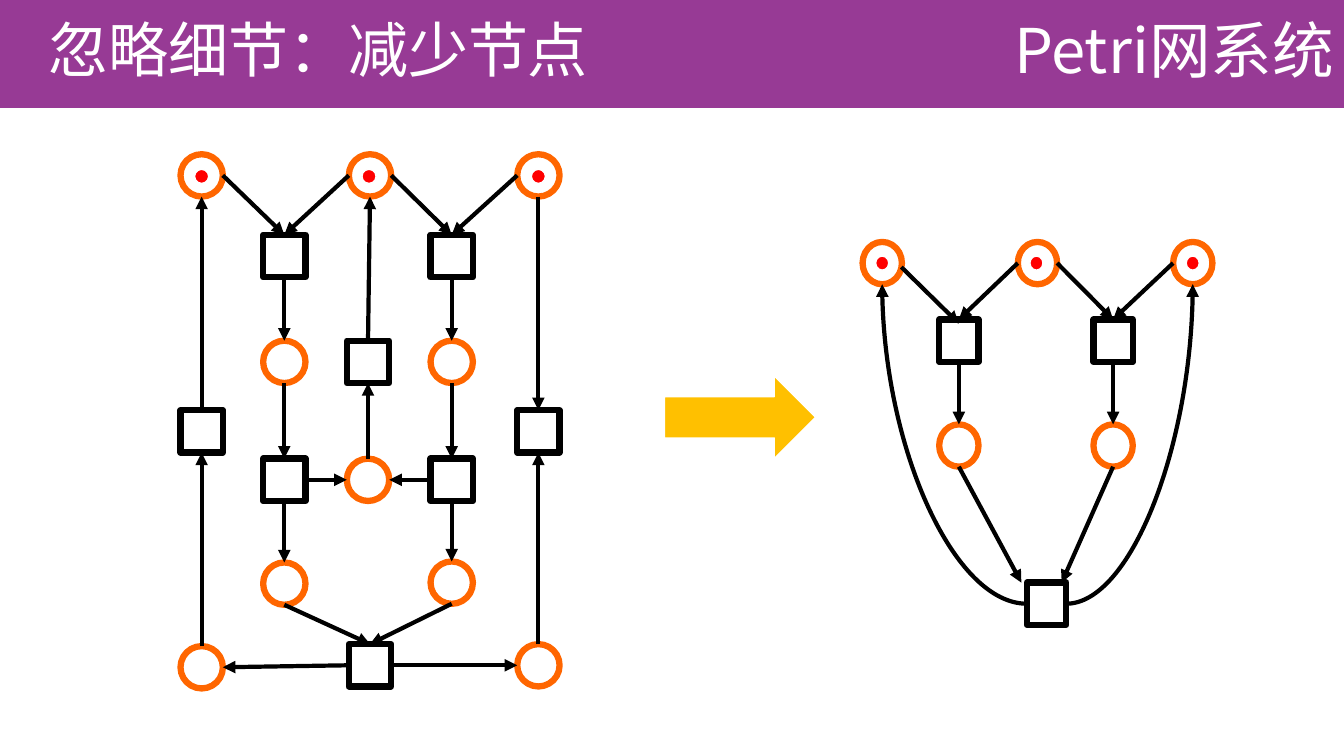
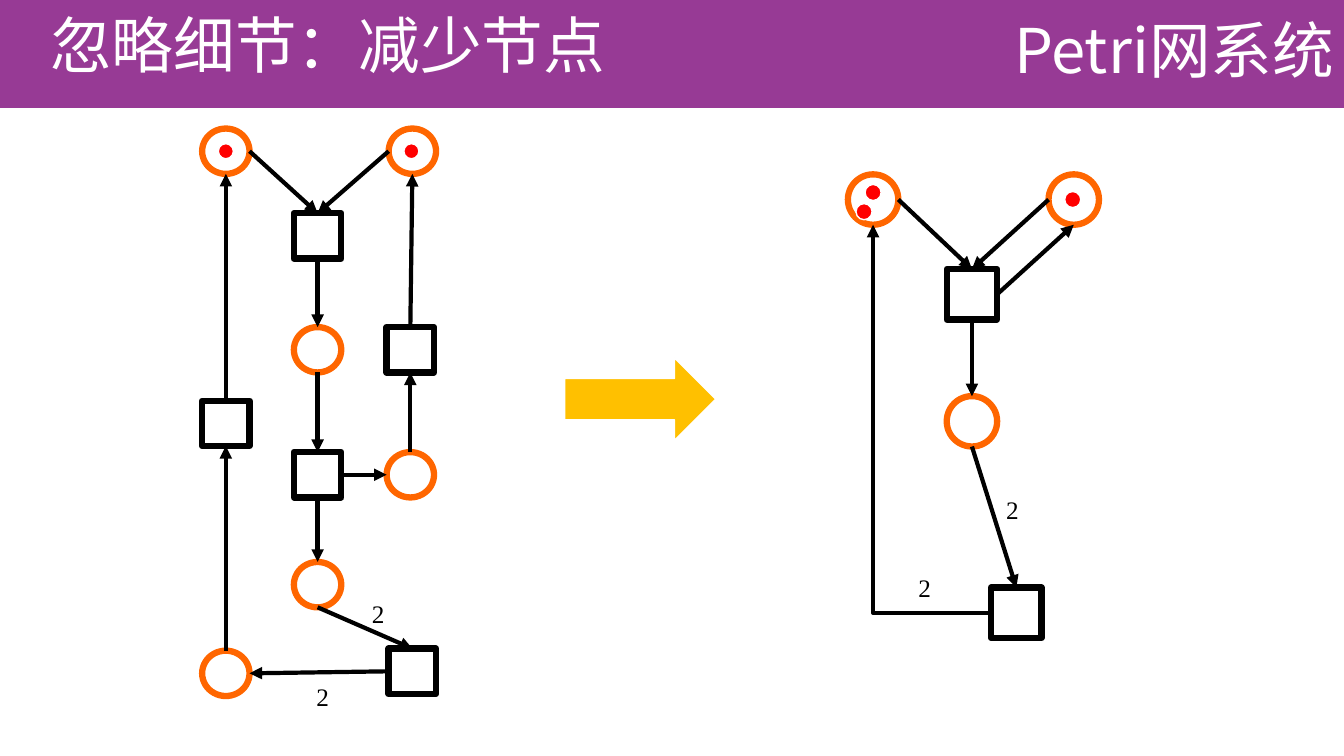
from dataclasses import dataclass

from lxml.etree import SubElement
from pptx import Presentation
from pptx.dml.color import RGBColor
from pptx.enum.shapes import MSO_CONNECTOR as Link, MSO_SHAPE as Shape
from pptx.enum.text import MSO_ANCHOR as Anchor, PP_ALIGN as Align
from pptx.oxml.ns import qn
from pptx.util import Inches, Pt


@dataclass(frozen=True)
class Theme:
    band: str = "973A95"
    paper: str = "FFFFFF"
    ink: str = "000000"
    ring: str = "FF6600"
    token: str = "FF0000"
    step: str = "FFC000"
    title_font: str = "Noto Sans CJK SC"
    weight_font: str = "Times New Roman"
    title_size: float = 44
    weight_size: float = 18
    node_line: float = 4.5
    arc_line: float = 3
    thin_line: float = 1


@dataclass(frozen=True)
class Node:
    x: float
    y: float
    width: float
    height: float

    def side(self, key):
        """Point in the middle of the left, right, top or bottom side."""
        dx, dy = {"l": (-1, 0), "r": (1, 0), "t": (0, -1), "b": (0, 1)}[key]
        return self.x + dx * self.width / 2, self.y + dy * self.height / 2


THEME = Theme()
TOPIC = "忽略细节：减少节点"
COURSE = "Petri网系统"
# Route: connector type and, for one-corner routes, its preset geometry
ROUTES = {
    "straight": (Link.STRAIGHT, None),
    "curve": (Link.CURVE, "curvedConnector2"),
    "elbow": (Link.ELBOW, "bentConnector2"),
}


def write(box, text, *, font, size, color, align=Align.LEFT, anchor=Anchor.TOP,
          spacing=None, indent=0.1):
    frame = box.text_frame
    frame.word_wrap = True
    frame.vertical_anchor = anchor
    frame.margin_left = Inches(indent)
    paragraph = frame.paragraphs[0]
    paragraph.alignment = align
    if spacing:
        paragraph.line_spacing = spacing
    run = paragraph.add_run()
    run.text = text
    run.font.name = font
    run.font.size = Pt(size)
    run.font.color.rgb = RGBColor.from_string(color)
    SubElement(run.font._element, qn("a:ea"), typeface=font)


class PetriDeck:
    def __init__(self, theme):
        self.theme = theme
        self.deck = Presentation()
        self.deck.slide_width = Inches(13.33)
        self.deck.slide_height = Inches(7.5)
        self.shapes = None

    # Slide with the shared band and headings
    def new_slide(self, topic_size, topic_left, topic_top):
        blank = self.deck.slide_layouts[6]
        self.shapes = self.deck.slides.add_slide(blank).shapes
        self.shape(Shape.RECTANGLE, 0, -0.01, 13.33, 1.08, self.theme.band)
        self.heading(TOPIC, topic_left, topic_top, 8.2, size=topic_size, indent=0)
        self.heading(COURSE, 9.31, 0, 4.02, align=Align.RIGHT)

    def heading(self, text, left, top, width, size=None, **style):
        write(self.text_box(left, top, width, 1.07), text,
              font=self.theme.title_font, size=size or self.theme.title_size,
              color=self.theme.paper, anchor=Anchor.MIDDLE, spacing=0.9, **style)

    def text_box(self, left, top, width, height):
        return self.shapes.add_textbox(*map(Inches, (left, top, width, height)))

    def shape(self, kind, left, top, width, height, fill, line=None, weight=1):
        item = self.shapes.add_shape(kind, *map(Inches, (left, top, width, height)))
        item.shadow.inherit = False
        item.fill.solid()
        item.fill.fore_color.rgb = RGBColor.from_string(fill)
        if line:
            item.line.color.rgb = RGBColor.from_string(line)
            item.line.width = Pt(weight)
        else:
            item.line.fill.background()

    def centred(self, kind, node, fill, line, weight):
        self.shape(kind, node.x - node.width / 2, node.y - node.height / 2,
                   node.width, node.height, fill, line, weight)

    # Places are rings, transitions are squares
    def net(self, size, places, transitions):
        nodes = {}
        for prefix, centres, kind, line in (
                ("P", places, Shape.OVAL, self.theme.ring),
                ("T", transitions, Shape.RECTANGLE, self.theme.ink)):
            for number, centre in enumerate(centres, 1):
                node = nodes[f"{prefix}{number}"] = Node(*centre, *size)
                self.centred(kind, node, self.theme.paper, line, self.theme.node_line)
        return nodes

    # Arcs are written as "node.side>node.side"
    def arcs(self, nodes, listing, route="straight"):
        for arc in listing.split():
            ends = (end.split(".") for end in arc.split(">"))
            self.arrow(*(nodes[name].side(key) for name, key in ends), route)

    def arrow(self, start, end, route="straight"):
        kind, geometry = ROUTES[route]
        arc = self.shapes.add_connector(kind, *map(Inches, (*start, *end)))
        arc.line.color.rgb = RGBColor.from_string(self.theme.ink)
        arc.line.width = Pt(self.theme.arc_line)
        properties = arc._element.spPr
        if geometry:
            properties.find(qn("a:prstGeom")).set("prst", geometry)
        SubElement(properties.find(qn("a:ln")), qn("a:tailEnd"), type="triangle")
        SubElement(properties, qn("a:effectLst"))

    def tokens(self, size, *centres):
        for x, y in centres:
            self.centred(Shape.OVAL, Node(x, y, *size), self.theme.token,
                         self.theme.paper, self.theme.thin_line)

    def weights(self, text, *corners):
        for left, top in corners:
            write(self.text_box(left, top, 0.47, 0.38), text,
                  font=self.theme.weight_font, size=self.theme.weight_size,
                  color=self.theme.ink)

    def step(self, left, top):
        self.shape(Shape.RIGHT_ARROW, left, top, 1.5, 0.82, self.theme.step,
                   self.theme.paper, self.theme.thin_line)


def three_tokens(deck):
    deck.new_slide(topic_size=42.9, topic_left=0.48, topic_top=-0.01)

    # Detailed net
    detailed = deck.net(
        (0.42, 0.42),
        places=[(2, 1.74), (3.67, 1.74), (5.34, 1.74), (2.82, 3.59), (4.48, 3.59),
                (3.65, 4.76), (2.82, 5.79), (4.48, 5.78), (2, 6.62), (5.34, 6.6)],
        transitions=[(2.82, 2.54), (4.48, 2.54), (3.65, 3.59), (2.82, 4.76),
                     (4.48, 4.76), (3.67, 6.6), (2, 4.28), (5.34, 4.28)])
    deck.arcs(detailed, """
        P1.r>T1.t P2.l>T1.t P2.r>T2.t P3.l>T2.t
        T1.b>P4.t P4.b>T4.t T4.b>P7.t P7.b>T6.t
        T2.b>P5.t P5.b>T5.t T5.b>P8.t P8.b>T6.t
        T4.r>P6.l T5.l>P6.r P6.t>T3.b T3.t>P2.b
        T6.l>P9.r P9.t>T7.b T7.t>P1.b
        T6.r>P10.l P10.t>T8.b P3.b>T8.t""")
    deck.tokens((0.14, 0.14), (2, 1.75), (3.66, 1.75), (5.34, 1.75))

    # Reduced net
    reduced = deck.net(
        (0.39, 0.42),
        places=[(8.75, 2.61), (10.29, 2.61), (11.83, 2.61), (9.51, 4.42),
                (11.04, 4.42)],
        transitions=[(9.51, 3.38), (11.04, 3.38), (10.38, 5.99)])
    deck.arcs(reduced, "P2.l>T1.t P2.r>T2.t P3.l>T2.t T1.b>P4.t T2.b>P5.t")
    deck.arrow((8.94, 2.65), (9.51, 3.21))
    deck.arrow(reduced["P4"].side("b"), (10.13, 5.78))
    deck.arrow(reduced["P5"].side("b"), (10.53, 5.78))
    deck.arcs(reduced, "T3.l>P1.b T3.r>P3.b", route="curve")
    deck.tokens((0.13, 0.14), (8.75, 2.61), (10.28, 2.61), (11.83, 2.61))
    deck.step(6.59, 3.73)


def weighted_arcs(deck):
    deck.new_slide(topic_size=THEME.title_size, topic_left=0.5, topic_top=-0.05)

    # Detailed net
    detailed = deck.net(
        (0.47, 0.45),
        places=[(2.24, 1.5), (4.09, 1.5), (3.15, 3.47), (4.07, 4.71), (3.15, 5.8),
                (2.24, 6.68)],
        transitions=[(3.15, 2.34), (4.07, 3.47), (3.15, 4.71), (4.09, 6.66),
                     (2.24, 4.2)])
    deck.arcs(detailed, """
        P1.r>T1.t P2.l>T1.t T1.b>P3.t P3.b>T3.t T3.b>P5.t P5.b>T4.t
        T3.r>P4.l P4.t>T2.b T2.t>P2.b T4.l>P6.r P6.t>T5.b T5.t>P1.b""")
    deck.tokens((0.15, 0.15), (2.24, 1.5), (4.08, 1.5))
    deck.weights("2", (3.59, 5.89), (3.04, 6.71))

    # Reduced net
    reduced = deck.net(
        (0.5, 0.5),
        places=[(8.66, 1.98), (10.65, 1.98), (9.64, 4.18)],
        transitions=[(9.64, 2.92), (10.08, 6.08)])
    deck.arcs(reduced, "P1.r>T1.t P2.l>T1.t T1.b>P3.t P3.b>T2.t T1.r>P2.b")
    deck.arcs(reduced, "T2.l>P1.b", route="elbow")
    deck.tokens((0.16, 0.16), (8.66, 1.91), (8.57, 2.1), (10.64, 1.98))
    deck.weights("2", (9.88, 4.85), (9.01, 5.63))
    deck.step(5.6, 3.55)


def main():
    petri = PetriDeck(THEME)
    three_tokens(petri)
    weighted_arcs(petri)
    petri.deck.save("out.pptx")


if __name__ == "__main__":
    main()
